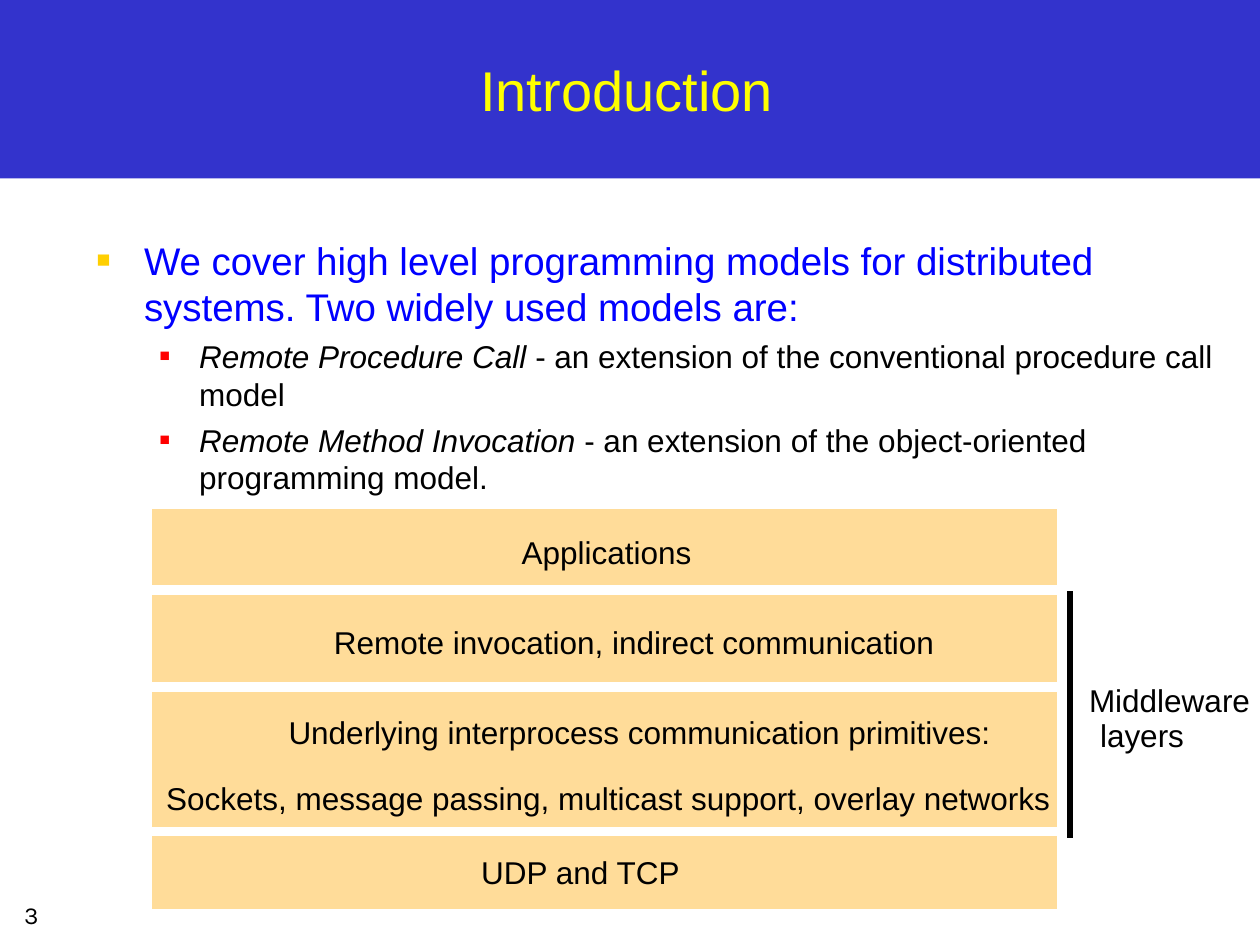
from lxml.etree import SubElement
from pptx import Presentation
from pptx.dml.color import RGBColor
from pptx.enum.shapes import MSO_SHAPE as Shape
from pptx.enum.text import MSO_ANCHOR as Anchor, PP_ALIGN as Align
from pptx.oxml.ns import qn
from pptx.util import Pt


def color(code):
    return RGBColor.from_string(code)


class SlideBuilder:
    """Holds the text style and the current slide, and adds each kind of element."""

    font = "Arial"
    black = "000000"
    layer_fill = "FFDC99"
    gap = 5.6

    def __init__(self, page):
        self.page = page

    def style(self, paragraph, size, code, name=None):
        paragraph.font.size = Pt(size)
        paragraph.font.name = name or self.font
        paragraph.font.color.rgb = color(code)

    def title(self, text, left, top, width, height):
        box = self.page.shapes.title
        box.left, box.top, box.width, box.height = map(Pt, (left, top, width, height))
        frame = box.text_frame
        frame.text = text
        frame.vertical_anchor = Anchor.MIDDLE
        frame.paragraphs[0].alignment = Align.CENTER
        self.style(frame.paragraphs[0], 32, "FFFF00")

    def rectangle(self, left, top, width, height, fill=None, line=None, weight=0):
        box = self.page.shapes.add_shape(
            Shape.RECTANGLE, *map(Pt, (left, top, width, height)))
        box.shadow.inherit = False
        if fill:
            box.fill.solid()
            box.fill.fore_color.rgb = color(fill)
        else:
            box.fill.background()
        if line:
            box.line.color.rgb = color(line)
            box.line.width = Pt(weight)
            outline = box._element.spPr.find(qn("a:ln"))
            SubElement(outline, qn("a:miter"), lim="800000")
        else:
            box.line.fill.background()
        return box

    def banner(self, width, height):
        box = self.rectangle(0, 0, width, height, fill="3333CC")
        self.page.shapes._spTree.insert(2, box._element)

    def layer(self, left, top, width, height, outset=2.2):
        self.rectangle(left, top, width, height, fill=self.layer_fill)
        self.rectangle(left - outset, top - outset, width + 2 * outset,
                       height + 2 * outset, line="FFFFFF", weight=self.gap)

    def label(self, text, left, top, width):
        box = self.page.shapes.add_textbox(*map(Pt, (left, top, width, 21.6)))
        frame = box.text_frame
        frame.word_wrap = False
        frame.margin_left = frame.margin_top = 0
        frame.margin_right = frame.margin_bottom = 0
        frame.text = text
        self.style(frame.paragraphs[0], 18, self.black)

    def page_number(self, text, left, top, width, height):
        box = self.page.shapes.add_textbox(*map(Pt, (left, top, width, height)))
        frame = box.text_frame
        frame.word_wrap = False
        frame.text = text
        frame.paragraphs[0].alignment = Align.CENTER
        self.style(frame.paragraphs[0], 14, self.black, "Karla")

    def bullet(self, para, code, percent, margin, hanging):
        props = para._p.get_or_add_pPr()
        props.set("marL", str(Pt(margin)))
        props.set("indent", str(-Pt(hanging)))
        tint = SubElement(props, qn("a:buClr"))
        SubElement(tint, qn("a:srgbClr"), val=code)
        SubElement(props, qn("a:buSzPct"), val=str(percent * 1000))
        SubElement(props, qn("a:buFont"), typeface=self.font)
        SubElement(props, qn("a:buChar"), char="■")

    def body(self, lead, models, left, top, width, height):
        box = self.page.shapes.add_textbox(*map(Pt, (left, top, width, height)))
        frame = box.text_frame
        frame.word_wrap = True
        para = frame.paragraphs[0]
        para.text = lead
        para.space_before = Pt(5.5)
        self.bullet(para, "FFCF01", 60, 27, 27)
        self.style(para, 22, "0000FF")
        for term, meaning in models:
            para = frame.add_paragraph()
            para.level = 1
            para.space_before = Pt(4.5)
            self.bullet(para, "FF0000", 55, 58.5, 22.5)
            self.style(para, 18, self.black)
            span = para.add_run()
            span.text = term + " "
            span.font.italic = True
            para.add_run().text = "- " + meaning


def main():
    deck = Presentation()
    deck.slide_width, deck.slide_height = Pt(720), Pt(540)
    slide = SlideBuilder(deck.slides.add_slide(deck.slide_layouts[5]))

    slide.banner(720, 102)
    slide.page_number("3", -23.5, 510.5, 82.8, 26.6)
    slide.title("Introduction", 12.2, 12.2, 692, 77.8)
    slide.body(
        "We cover high level programming models for distributed systems. "
        "Two widely used models are:",
        [("Remote Procedure Call",
          "an extension of the conventional procedure call model"),
         ("Remote Method Invocation",
          "an extension of the object-oriented programming model.")],
        48.2, 131.8, 653.8, 350.6)

    slide.rectangle(582, 339.4, 29.5, 138, line=slide.black, weight=3.4)
    for top, height in [(290.2, 229.7), (390.2, 82.8), (339.3, 50.9)]:
        slide.layer(86.4, top, 518.4, height)

    for text, left, top, width in [
        ("Applications", 298.1, 304.6, 100),
        ("Remote invocation, indirect communication", 190.8, 356, 350),
        ("Underlying interprocess communication primitives:", 164.9, 407.5, 410),
        ("Sockets, message passing, multicast support, overlay networks",
         95, 445, 510),
        ("UDP and TCP", 275, 487.4, 118),
        ("Middleware", 622.3, 389.2, 95),
        ("layers", 628.6, 409.4, 52),
    ]:
        slide.label(text, left, top, width)

    deck.save("out.pptx")


if __name__ == "__main__":
    main()
